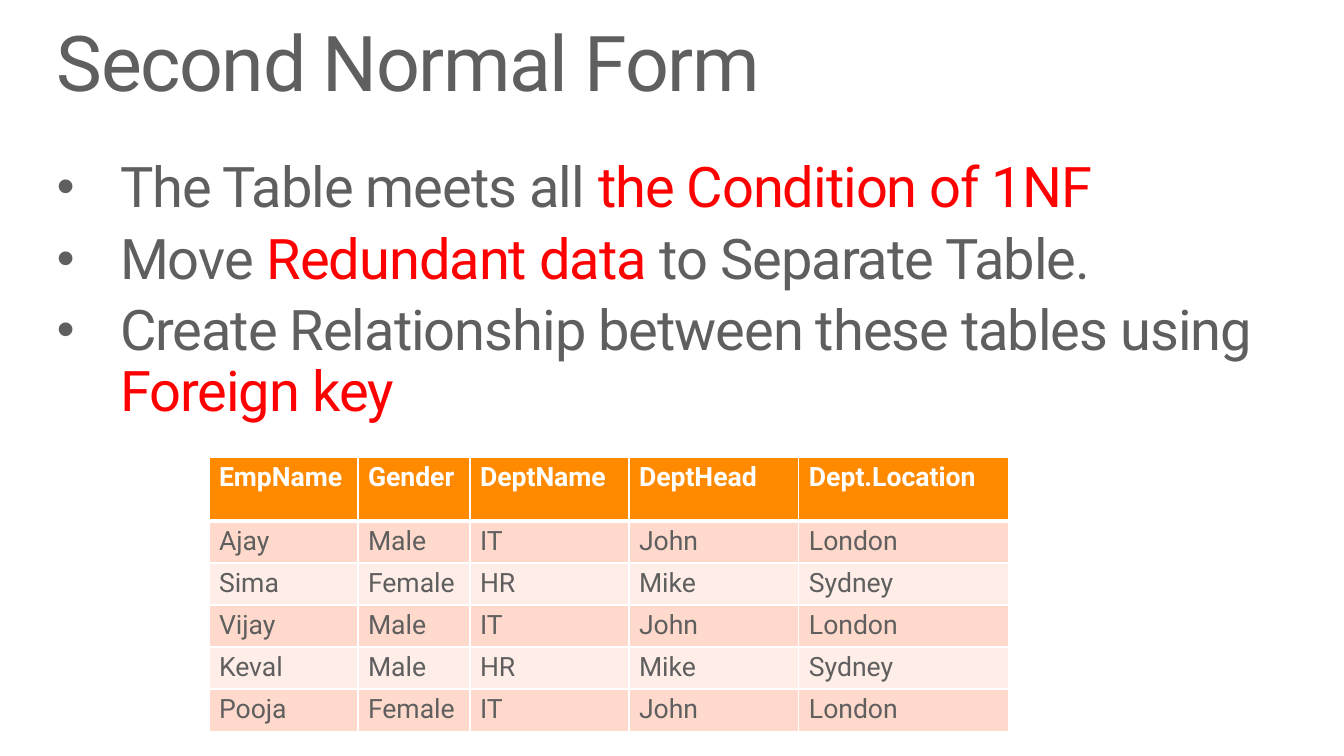
from lxml.etree import SubElement
from pptx import Presentation
from pptx.dml.color import RGBColor
from pptx.oxml.ns import qn
from pptx.util import Emu, Pt

PX = 914400 / 100.8
FONT = "Roboto"
GREY = RGBColor(0x5F, 0x5F, 0x5F)
RED = RGBColor(0xFF, 0x00, 0x00)
WHITE = RGBColor(0xFF, 0xFF, 0xFF)
ORANGE = RGBColor(0xFF, 0x8A, 0x00)
BANDS = (RGBColor(0xFF, 0xDA, 0xCC), RGBColor(0xFF, 0xED, 0xE7))

TITLE = "Second Normal Form"
RULES = [
    [("The Table meets all ", GREY), ("the Condition of 1NF", RED)],
    [("Move ", GREY), ("Redundant data ", RED), ("to Separate Table.", GREY)],
    [("Create Relationship between these tables using ", GREY), ("Foreign key", RED)],
]
EMPLOYEES = [
    ("EmpName", "Gender", "DeptName", "DeptHead", "Dept.Location"),
    ("Ajay", "Male", "IT", "John", "London"),
    ("Sima", "Female", "HR", "Mike", "Sydney"),
    ("Vijay", "Male", "IT", "John", "London"),
    ("Keval", "Male", "HR", "Mike", "Sydney"),
    ("Pooja", "Female", "IT", "John", "London"),
]
COLUMN_WIDTHS = (149, 112, 159, 170, 210)
HEADER_HEIGHT = 64
ROW_HEIGHT = 41


def px(length):
    """Turn pixels into EMU."""
    return Emu(round(length * PX))


def add_text_frame(page, box):
    """Add a wrapping text box without margins and return its frame."""
    frame = page.shapes.add_textbox(*map(px, box)).text_frame
    frame.word_wrap = True
    frame.margin_left = frame.margin_top = 0
    frame.margin_right = frame.margin_bottom = 0
    return frame


def fill_para(para, spans, size, spacing):
    """Write coloured spans with one size and letter spacing."""
    para.line_spacing = 0.9
    para.font.name = FONT
    para.font.size = Pt(size)
    for text, color in spans:
        span = para.add_run()
        span.text = text
        span.font.color.rgb = color
        span.font._element.set("spc", str(spacing))


def add_title(page, box):
    """Place the slide title."""
    para = add_text_frame(page, box).paragraphs[0]
    fill_para(para, [(TITLE, GREY)], 55, -100)


def add_bullet(para, indent):
    """Give a paragraph a hanging bullet."""
    props = para._p.get_or_add_pPr()
    props.set("marL", str(px(indent)))
    props.set("indent", str(-px(indent)))
    SubElement(props, qn("a:buSzPct"), val="90000")
    SubElement(props, qn("a:buFont"), typeface="Arial")
    SubElement(props, qn("a:buChar"), char="•")


def add_rules(page, box):
    """Place the bulleted rules of the normal form."""
    frame = add_text_frame(page, box)
    for index, spans in enumerate(RULES):
        para = frame.add_paragraph() if index else frame.paragraphs[0]
        fill_para(para, spans, 40, -70)
        para.space_before = Pt(8)
        add_bullet(para, 63)


def add_borders(cell, widths):
    """Draw white borders in the order left, right, top, bottom."""
    props = cell._tc.get_or_add_tcPr()
    for side, width in zip("LRTB", widths):
        line = SubElement(props, qn(f"a:ln{side}"), w=str(Pt(width)))
        fill = SubElement(line, qn("a:solidFill"))
        SubElement(fill, qn("a:srgbClr"), val=str(WHITE))


def fill_cell(cell, text, row):
    """Write and style one cell according to its row."""
    header = row == 0
    add_borders(cell, (1, 1, 3 if row == 1 else 1, 3 if header else 1))
    cell.fill.solid()
    cell.fill.fore_color.rgb = ORANGE if header else BANDS[(row - 1) % 2]
    cell.text = text
    font = cell.text_frame.paragraphs[0].font
    font.name = FONT
    font.size = Pt(19)
    font.bold = header
    font.color.rgb = WHITE if header else GREY


def add_employees(page, left, top):
    """Place the employee table with its corner at the given point."""
    heights = [HEADER_HEIGHT] + [ROW_HEIGHT] * (len(EMPLOYEES) - 1)
    box = (left, top, sum(COLUMN_WIDTHS), sum(heights))
    table = page.shapes.add_table(
        len(heights), len(COLUMN_WIDTHS), *map(px, box)
    ).table
    for column, width in zip(table.columns, COLUMN_WIDTHS):
        column.width = px(width)
    for row, (height, texts) in enumerate(zip(heights, EMPLOYEES)):
        table.rows[row].height = px(height)
        for column, text in enumerate(texts):
            fill_cell(table.cell(row, column), text, row)


def main():
    """Build and save the slide."""
    deck = Presentation()
    deck.slide_width, deck.slide_height = px(1344), px(756)
    page = deck.slides.add_slide(deck.slide_layouts[6])
    add_title(page, (57, 25, 1229, 84))
    add_rules(page, (57, 159, 1229, 271))
    add_employees(page, 209, 457)
    deck.save("out.pptx")


if __name__ == "__main__":
    main()
